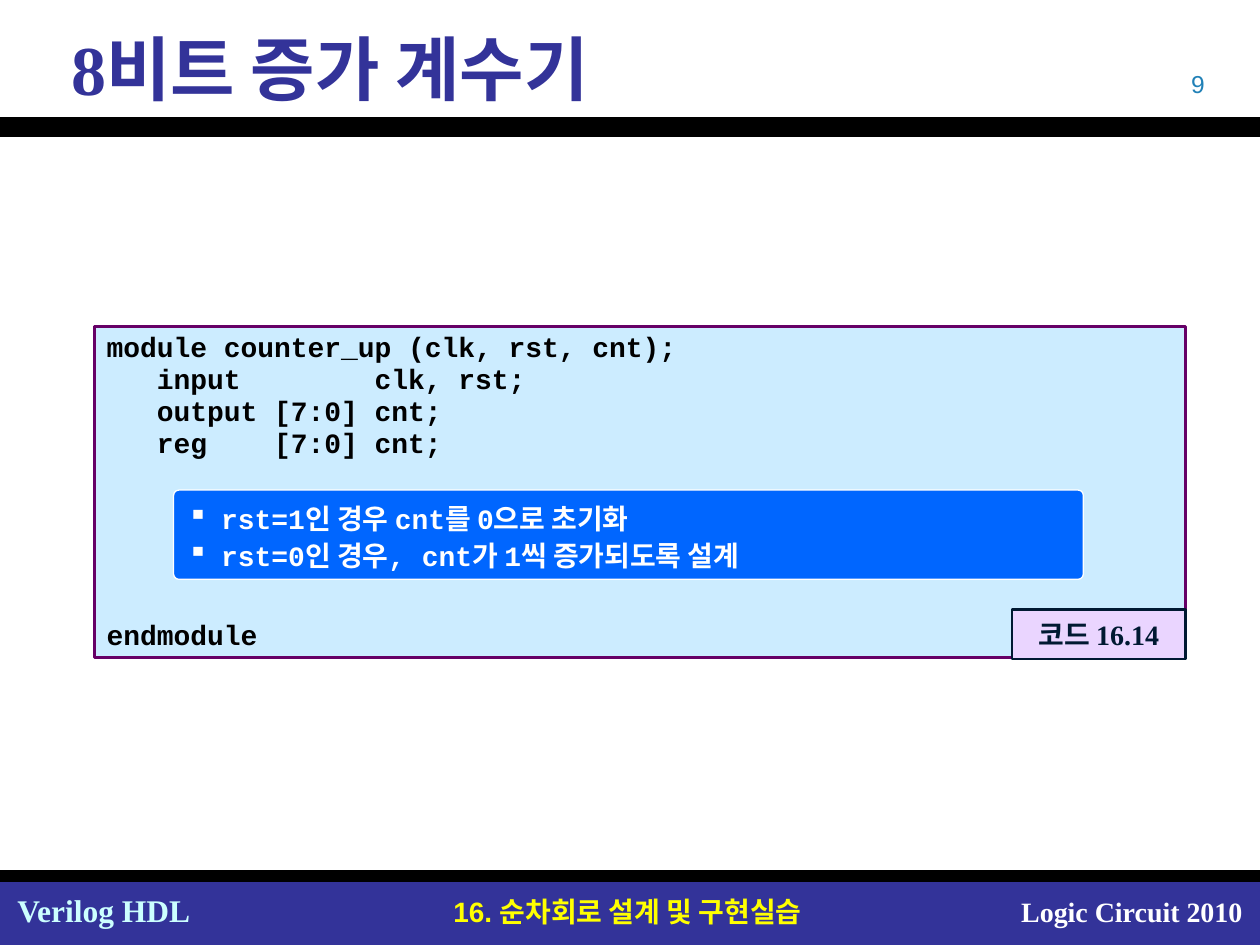
import pptx
import pptx.util
import pptx.dml.color
import pptx.enum.shapes
import pptx.enum.text
from dataclasses import dataclass
from lxml import etree

Cm, Pt = pptx.util.Cm, pptx.util.Pt
ALIGN = pptx.enum.text.PP_ALIGN
ANCHOR = pptx.enum.text.MSO_ANCHOR
SHAPE = pptx.enum.shapes.MSO_SHAPE


@dataclass(frozen=True)
class Theme:
    navy: str = "333399"
    black: str = "000000"
    white: str = "FFFFFF"
    yellow: str = "FFFF00"
    aqua: str = "CCFFFF"
    number: str = "2181B7"
    code_fill: str = "CCECFF"
    code_line: str = "660066"
    label_fill: str = "EAD5FF"
    label_ink: str = "001932"
    note_fill: str = "0066FF"
    serif: str = "Times New Roman"
    sans: str = "Arial"
    mono: str = "Courier New"
    title_size: int = 40
    course_size: int = 18
    body_size: int = 16
    number_size: int = 14


theme = Theme()


def write(shape, text, *, color, font=theme.serif, size=theme.body_size, bold=True,
          align=ALIGN.LEFT, anchor=ANCHOR.TOP, wrap=True, spacing=None,
          bullet=None, hang=0, indent=0):
    """Fill a shape with one paragraph per line of text."""
    frame = shape.text_frame
    frame.text = text
    frame.word_wrap = wrap
    frame.auto_size = pptx.enum.text.MSO_AUTO_SIZE.NONE
    frame.vertical_anchor = anchor
    frame.margin_left = frame.margin_right = Cm(0.25)
    frame.margin_top = frame.margin_bottom = Cm(0.13)
    for paragraph in frame.paragraphs:
        properties = paragraph._p.get_or_add_pPr()
        properties.set("marL", str(Cm(indent + hang)))
        properties.set("indent", str(-Cm(hang)))
        if bullet:
            mark = etree.SubElement(properties, pptx.oxml.ns.qn("a:buChar"))
            mark.set("char", bullet)
        paragraph.alignment = align
        if spacing:
            paragraph.line_spacing = spacing
        for run in paragraph.runs:
            run.font.name = font
            run.font.size = Pt(size)
            run.font.bold = bold
            run.font.color.rgb = pptx.dml.color.RGBColor.from_string(color)
    return frame


def add_panel(left, top, width, height, fill, line=None, weight=1.5, kind=SHAPE.RECTANGLE):
    panel = slide.shapes.add_shape(kind, Cm(left), Cm(top), Cm(width), Cm(height))
    panel.shadow.inherit = False
    panel.fill.solid()
    panel.fill.fore_color.rgb = pptx.dml.color.RGBColor.from_string(fill)
    if line:
        panel.line.color.rgb = pptx.dml.color.RGBColor.from_string(line)
        panel.line.width = Pt(weight)
    else:
        panel.line.fill.background()
    return panel


deck = pptx.Presentation()
deck.slide_width, deck.slide_height = Cm(25.4), Cm(19.05)
slide = deck.slides.add_slide(deck.slide_layouts[5])

# Header and footer bands
add_panel(0, 17.78, 25.4, 1.27, theme.navy)
add_panel(0, 2.36, 25.4, 0.4, theme.black)
add_panel(0, 17.54, 25.4, 0.24, theme.black)

# Running text: place, words, format
running_texts = [
    ((7.7, 17.9, 9.9, 0.94), "16. 순차회로 설계 및 구현실습",
     dict(color=theme.yellow, font=theme.sans, align=ALIGN.CENTER)),
    ((18.62, 17.9, 6.68, 0.94), "Logic Circuit 2010",
     dict(color=theme.white, align=ALIGN.RIGHT)),
    ((0.1, 17.83, 4.4, 1.02), "Verilog HDL",
     dict(color=theme.aqua, size=theme.course_size)),
    ((18.62, 1.27, 5.92, 0.84), "9",
     dict(color=theme.number, font=theme.sans, size=theme.number_size,
          bold=False, align=ALIGN.RIGHT)),
]
for place, words, style in running_texts:
    write(slide.shapes.add_textbox(*map(Cm, place)), words, **style)

title = slide.shapes.title
title.left, title.top, title.width, title.height = map(Cm, (0.43, 0.53, 24.56, 1.65))
write(title, "8비트 증가 계수기", color=theme.navy, size=theme.title_size,
      anchor=ANCHOR.MIDDLE, indent=0.76)

# Code listing, with a gap before its last line for the exercise note
listing = add_panel(1.9, 6.58, 22, 6.68, theme.code_fill, theme.code_line)
code = """module counter_up (clk, rst, cnt);
   input        clk, rst;
   output [7:0] cnt;
   reg    [7:0] cnt;
endmodule"""
code_frame = write(listing, code, color=theme.black, font=theme.mono,
                   anchor=ANCHOR.MIDDLE, spacing=0.95)
code_frame.paragraphs[-1].space_before = Pt(91.5)

label = add_panel(20.4, 12.29, 3.5, 1, theme.label_fill, theme.label_ink)
write(label, "코드 16.14", color=theme.label_ink, align=ALIGN.CENTER,
      anchor=ANCHOR.MIDDLE, wrap=False)

note = add_panel(3.5, 9.88, 18.34, 1.8, theme.note_fill, theme.white, 0.75,
                 SHAPE.ROUNDED_RECTANGLE)
note.adjustments[0] = 0.06
write(note, "rst=1인 경우 cnt를 0으로 초기화\nrst=0인 경우, cnt가 1씩 증가되도록 설계",
      color=theme.white, font=theme.mono, anchor=ANCHOR.MIDDLE, spacing=1.1,
      bullet="▪", hang=0.68)

deck.save("out.pptx")
